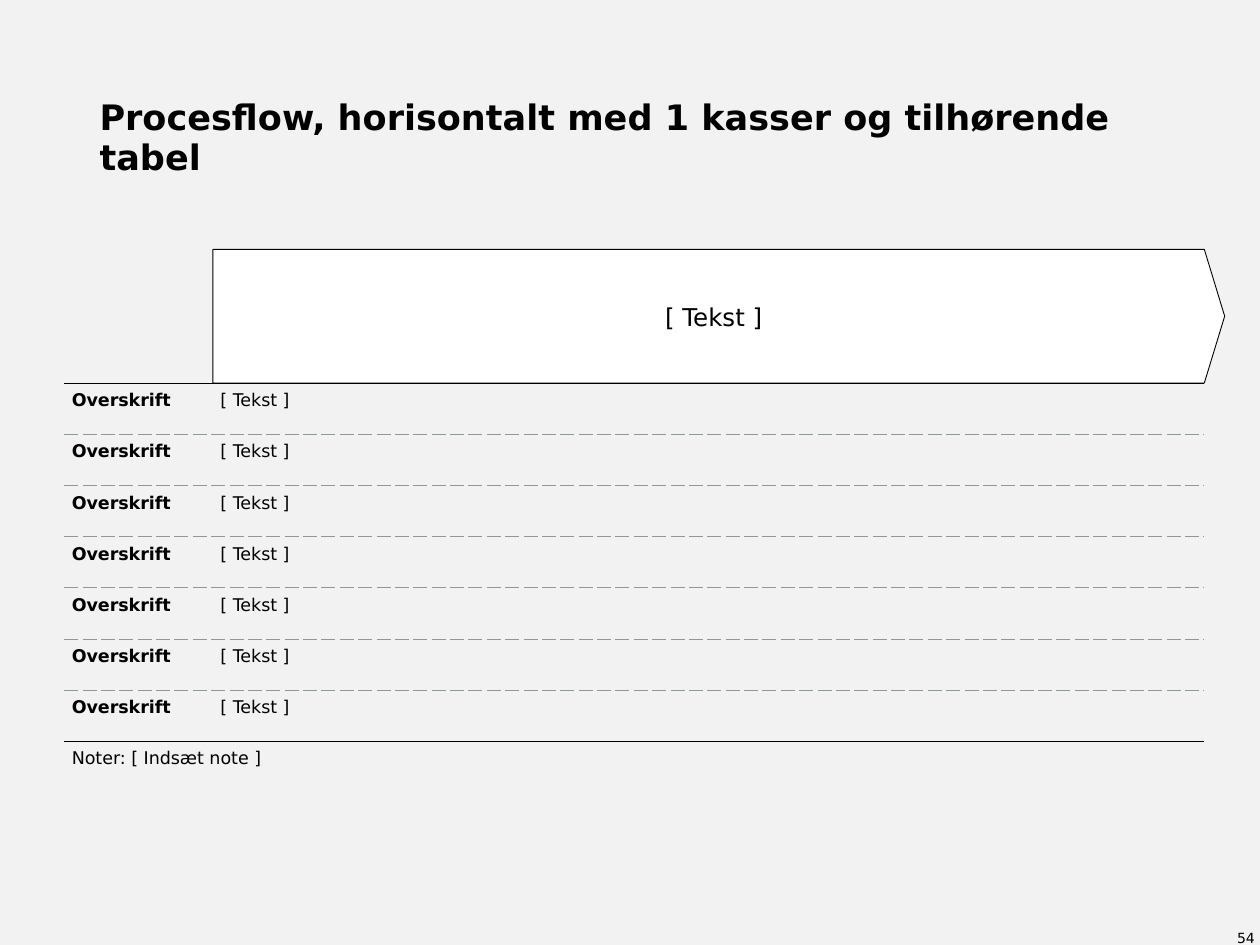
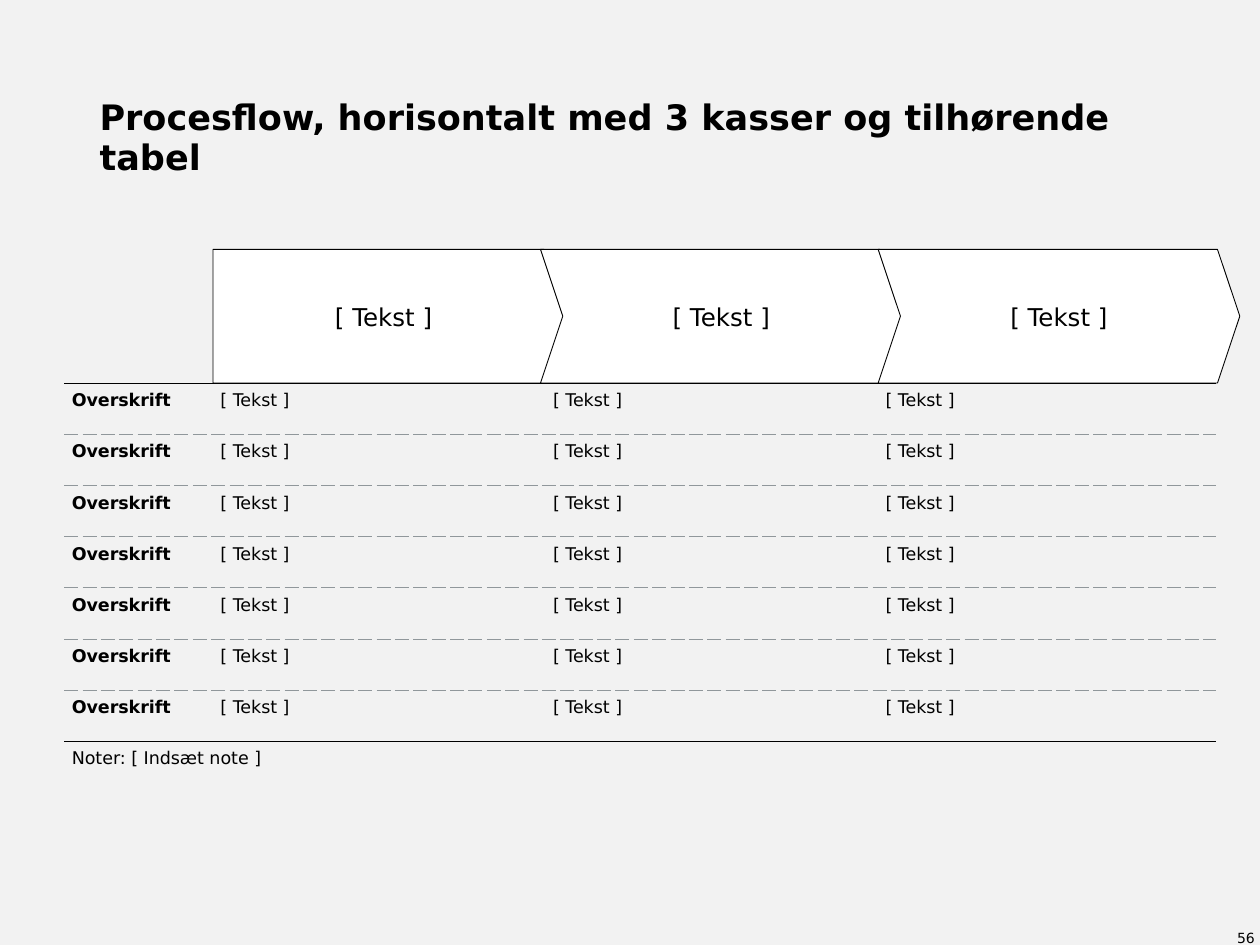
from dataclasses import dataclass

from lxml.etree import SubElement
from pptx import Presentation
from pptx.dml.color import RGBColor
from pptx.enum.shapes import MSO_SHAPE
from pptx.enum.text import MSO_ANCHOR, MSO_AUTO_SIZE, PP_ALIGN
from pptx.oxml.ns import qn
from pptx.util import Inches, Pt


@dataclass(frozen=True)
class Theme:
    font: str = "DejaVu Sans"
    background: str = "F2F2F2"
    ink: str = "000000"
    box: str = "FFFFFF"
    divider: str = "90979B"
    title_size: int = 20
    step_size: int = 14
    table_size: int = 10
    page_size: int = 8
    rule_width: float = 0.25
    box_line: float = 0.5


THEME = Theme()
RULE = (THEME.ink, "solid")
DASH = (THEME.divider, "dash")

LABEL_W, LABEL_GAP, STEP_GAP = 1.1, 0.08, 0.04
TABLE_LEFT, TABLE_TOP, TABLE_H = 0.51, 3.04, 3.25
CELL_INSET = 0.06
BODY_ROWS = 7
FLOW_LEFT, FLOW_TOP, FLOW_H = 1.69, 1.98, 1.06
PLATE_ADJ, CHEVRON_ADJ = 0.152, 0.167
CHEVRON_LEFT, CHEVRON_W, CHEVRON_PITCH = 4.29, 2.87, 2.68


def add_run(p, text, size, bold=False):
    r = p.add_run()
    r.text = text
    r.font.name = THEME.font
    r.font.size = Pt(size)
    r.font.bold = bold
    r.font.color.rgb = RGBColor.from_string(THEME.ink)


def set_insets(frame, inset):
    frame.margin_left = frame.margin_right = Inches(inset)
    frame.margin_top = frame.margin_bottom = Inches(inset)


def set_title(s, text):
    sp = s.shapes.title
    sp.left, sp.top, sp.width, sp.height = map(Inches, (0.79, 0.59, 8.42, 0.83))
    tf = sp.text_frame
    tf.word_wrap = True
    tf.auto_size = MSO_AUTO_SIZE.NONE
    tf.vertical_anchor = MSO_ANCHOR.BOTTOM
    set_insets(tf, 0)
    p = tf.paragraphs[0]
    p.alignment = PP_ALIGN.LEFT
    p.line_spacing = 0.96
    add_run(p, text, THEME.title_size, bold=True)


def add_page_number(s, number):
    sp = s.shapes.add_textbox(*map(Inches, (7.63, 7.36, 2.33, 0.15)))
    tf = sp.text_frame
    tf.word_wrap = True
    set_insets(tf, 0)
    p = tf.paragraphs[0]
    p.alignment = PP_ALIGN.RIGHT
    p.line_spacing = 1.15
    add_run(p, str(number), THEME.page_size)


def add_step(s, preset, left, width, adjustment):
    sp = s.shapes.add_shape(
        preset, Inches(left), Inches(FLOW_TOP), Inches(width), Inches(FLOW_H))
    sp.adjustments[0] = adjustment
    sp.shadow.inherit = False
    sp.fill.solid()
    sp.fill.fore_color.rgb = RGBColor.from_string(THEME.box)
    sp.line.color.rgb = RGBColor.from_string(THEME.ink)
    sp.line.width = Pt(THEME.box_line)
    tf = sp.text_frame
    tf.word_wrap = True
    tf.vertical_anchor = MSO_ANCHOR.MIDDLE
    p = tf.paragraphs[0]
    p.alignment = PP_ALIGN.CENTER
    add_run(p, "[ Tekst ]", THEME.step_size)


def add_flow(s, first_width, chevrons):
    add_step(s, MSO_SHAPE.PENTAGON, FLOW_LEFT, first_width, PLATE_ADJ)
    for i in range(chevrons):
        add_step(s, MSO_SHAPE.CHEVRON, CHEVRON_LEFT + i * CHEVRON_PITCH,
                 CHEVRON_W, CHEVRON_ADJ)


def set_borders(cell, top, bottom):
    tc_pr = cell._tc.get_or_add_tcPr()
    for side, border in (("L", None), ("R", None), ("T", top), ("B", bottom)):
        ln = SubElement(tc_pr, qn(f"a:ln{side}"), w=str(Pt(THEME.rule_width)))
        if border is None:
            SubElement(ln, qn("a:noFill"))
            continue
        color, dash = border
        fill = SubElement(ln, qn("a:solidFill"))
        SubElement(fill, qn("a:srgbClr"), val=color)
        SubElement(ln, qn("a:prstDash"), val=dash)


def format_cell(cell, row):
    top = RULE if row in (0, BODY_ROWS) else DASH
    bottom = {BODY_ROWS - 1: RULE, BODY_ROWS: None}.get(row, DASH)
    set_borders(cell, top, bottom)
    cell.fill.background()
    set_insets(cell, 0)


def write_cell(cell, text, bold=False):
    set_insets(cell, CELL_INSET)
    add_run(cell.text_frame.paragraphs[0], text, THEME.table_size, bold)


def add_step_table(s, step_widths):
    widths = [LABEL_W, LABEL_GAP, step_widths[0]]
    for width in step_widths[1:]:
        widths += [STEP_GAP, STEP_GAP, width]
    table = s.shapes.add_table(
        BODY_ROWS + 1, len(widths), Inches(TABLE_LEFT), Inches(TABLE_TOP),
        Inches(sum(widths)), Inches(TABLE_H)).table
    table.first_row = table.horz_banding = False
    for column, width in zip(table.columns, widths):
        column.width = Inches(width)
    for row in range(BODY_ROWS + 1):
        for col in range(len(widths)):
            format_cell(table.cell(row, col), row)
    for row in range(BODY_ROWS):
        write_cell(table.cell(row, 0), "Overskrift", bold=True)
        for col in range(2, len(widths), 3):
            write_cell(table.cell(row, col), "[ Tekst ]")
    note = table.cell(BODY_ROWS, 0)
    note.merge(table.cell(BODY_ROWS, len(widths) - 1))
    write_cell(note, "Noter: [ Indsæt note ]")


def add_process_slide(prs, number, step_widths, first_width):
    s = prs.slides.add_slide(prs.slide_layouts[5])
    count = len(step_widths)
    set_title(s, f"Procesflow, horisontalt med {count} kasser og tilhørende tabel")
    add_page_number(s, number)
    add_step_table(s, step_widths)
    add_flow(s, first_width, count - 1)


def main():
    prs = Presentation()
    prs.slide_width, prs.slide_height = Inches(10), Inches(7.5)
    fill = prs.slide_master.background.fill
    fill.solid()
    fill.fore_color.rgb = RGBColor.from_string(THEME.background)
    add_process_slide(prs, 54, [7.87], 8.03)
    add_process_slide(prs, 56, [2.56, 2.56, 2.68], 2.79)
    prs.save("out.pptx")


if __name__ == "__main__":
    main()
